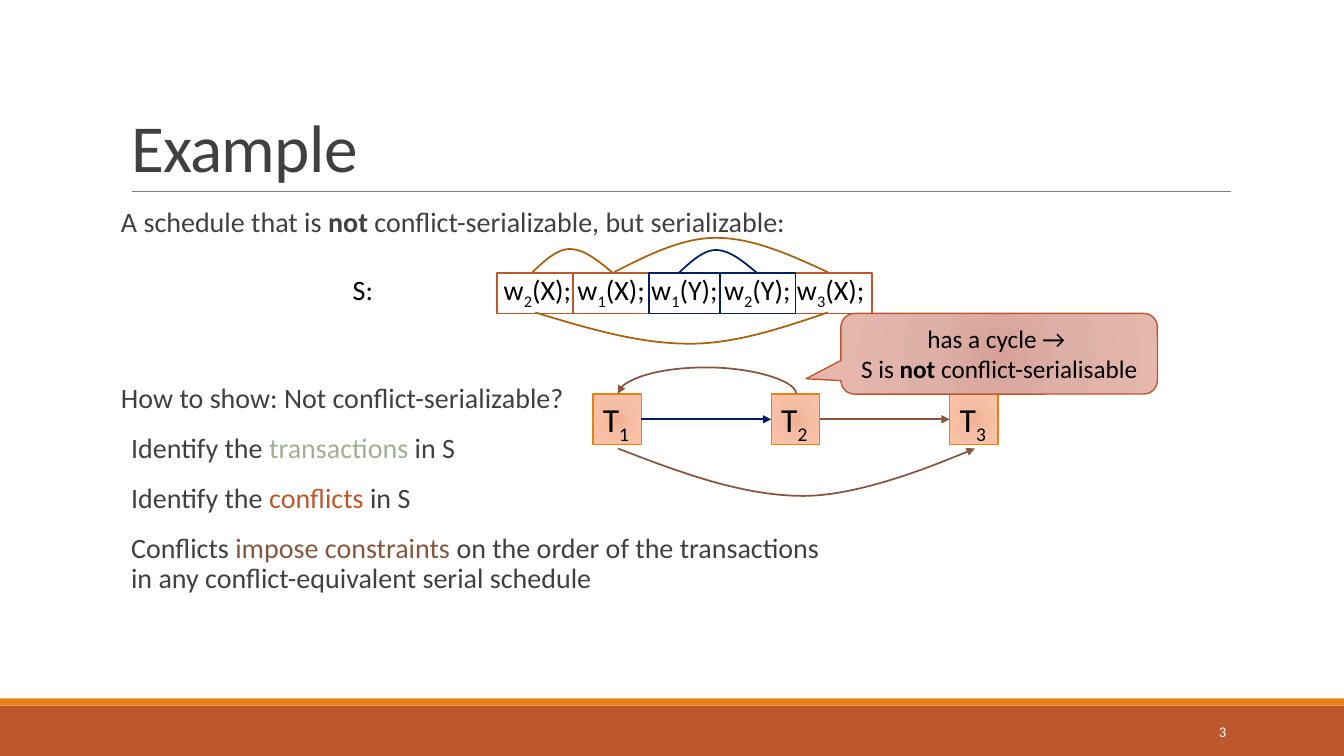
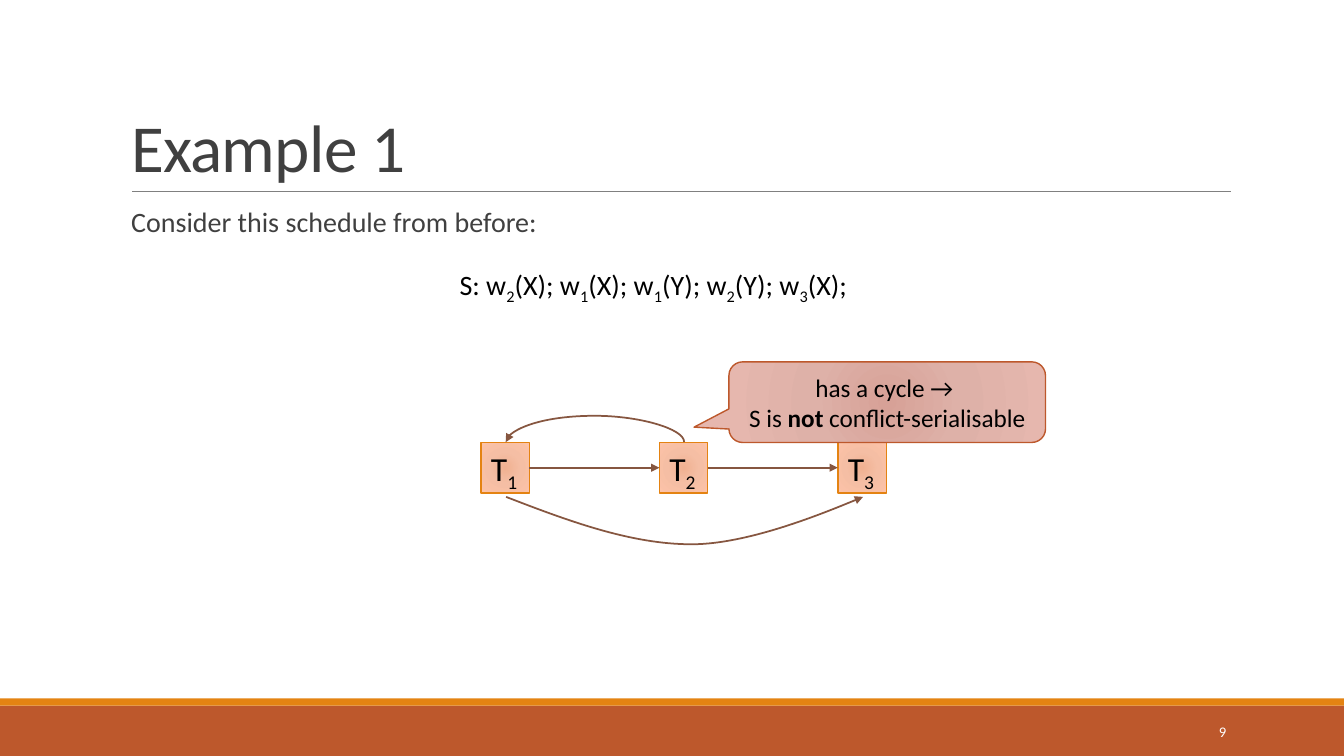
import itertools

import pptx
import pptx.dml.color
import pptx.enum.shapes
import pptx.enum.text
import pptx.oxml
import pptx.oxml.ns
import pptx.util

Inches = pptx.util.Inches
Pt = pptx.util.Pt
RGBColor = pptx.dml.color.RGBColor
SHAPE = pptx.enum.shapes.MSO_SHAPE
CONNECTOR = pptx.enum.shapes.MSO_CONNECTOR
ANCHOR = pptx.enum.text.MSO_ANCHOR
ALIGN = pptx.enum.text.PP_ALIGN

FONT = "Calibri"
BLACK = RGBColor(0x00, 0x00, 0x00)
WHITE = RGBColor(0xFF, 0xFF, 0xFF)
GRAY = RGBColor(0x80, 0x80, 0x80)
DARK_GRAY = RGBColor(0x40, 0x40, 0x40)
RUST = RGBColor(0xBD, 0x58, 0x2C)
ORANGE = RGBColor(0xE4, 0x83, 0x12)
BROWN = RGBColor(0x86, 0x56, 0x40)
OCHRE = RGBColor(0xA9, 0x61, 0x0D)
SAGE = RGBColor(0xA2, 0xAF, 0x92)
NAVY = RGBColor(0x00, 0x20, 0x60)
PEACH_STOPS = [(0, "F0B191"), (45, "F5BEA4"), (100, "FDC3A8")]
ROSE_STOPS = [(0, "D7A197"), (45, "DEB1A8"), (100, "E6B7AE")]
BOLD = "bold"
NAMESPACE = pptx.oxml.ns.nsdecls("a")

SCHEDULE = "w2(X); w1(X); w1(Y); w2(Y); w3(X);"


def add_runs(paragraph, pieces, size, colour):
    """Add (text, style) pieces, style being BOLD, a colour or None; digits become subscripts."""
    for text, style in pieces:
        if text == "\n":
            paragraph.add_line_break()
            continue
        for is_digit, characters in itertools.groupby(text, str.isdigit):
            run = paragraph.add_run()
            run.text = "".join(characters)
            run.font.name = FONT
            run.font.size = Pt(size)
            run.font.color.rgb = style if isinstance(style, RGBColor) else colour
            if style == BOLD:
                run.font.bold = True
            if is_digit:
                run.font._element.set("baseline", "-25000")


def add_curve(slide, points, colour):
    """Draw an open chain of cubic Bézier curves; each takes three points after the first."""
    start, *others = [(Inches(x), Inches(y)) for x, y in points]
    builder = slide.shapes.build_freeform(*start)
    builder.add_line_segments(others, close=False)
    curve = builder.convert_to_shape()
    lines = list(curve.element.iter(pptx.oxml.ns.qn("a:lnTo")))
    for first in range(0, len(lines), 3):
        bezier = pptx.oxml.parse_xml(f"<a:cubicBezTo {NAMESPACE}/>")
        lines[first].addprevious(bezier)
        for line in lines[first:first + 3]:
            bezier.append(line[0])
            line.getparent().remove(line)
    curve.shadow.inherit = False
    curve.fill.background()
    curve.line.color.rgb = colour
    curve.line.width = Pt(1.25)
    return curve


presentation = pptx.Presentation()
presentation.slide_width = Inches(13.33)
presentation.slide_height = Inches(7.5)

# Title and body style, inherited by every slide
layout = presentation.slide_layouts[1]
placeholder_styles = [
    (0, 0.31, 1.59, ANCHOR.BOTTOM, 'marL="0"', (85, 0, 0), 'sz="4800" spc="-50"'),
    (1, 2.02, 4.4, ANCHOR.TOP, f'marL="{Inches(0.1)}"', (90, 12, 2), 'sz="2000"'),
]
for index, top, height, anchor, margin, (line, before, after), font in placeholder_styles:
    placeholder = layout.placeholders[index]
    placeholder.left, placeholder.top = Inches(1.2), Inches(top)
    placeholder.width, placeholder.height = Inches(11), Inches(height)
    frame = placeholder.text_frame
    frame.vertical_anchor = anchor
    frame.auto_size = pptx.enum.text.MSO_AUTO_SIZE.NONE
    if index == 1:
        frame.margin_left = frame.margin_right = 0
    list_style = placeholder.element.txBody.find(pptx.oxml.ns.qn("a:lstStyle"))
    for level in list(list_style):
        list_style.remove(level)
    list_style.append(pptx.oxml.parse_xml(
        f'<a:lvl1pPr {NAMESPACE} {margin} indent="0" algn="l">'
        f'<a:lnSpc><a:spcPct val="{line * 1000}"/></a:lnSpc>'
        f'<a:spcBef><a:spcPts val="{before * 100}"/></a:spcBef>'
        f'<a:spcAft><a:spcPts val="{after * 100}"/></a:spcAft><a:buNone/>'
        f'<a:defRPr {font} b="0"><a:solidFill><a:srgbClr val="{DARK_GRAY}"/></a:solidFill>'
        f'<a:latin typeface="{FONT}"/></a:defRPr></a:lvl1pPr>'))

# Body paragraphs: flush left or indented, space before, pieces
example_body = [
    (True, 0, [("A schedule that is ", None), ("not ", BOLD),
               ("conflict-serializable, but serializable:", None)]),
    (True, 102, [("How to show: Not conflict-serializable?", None)]),
    (False, 12, [("Identify the ", None), ("transactions ", SAGE), ("in S", None)]),
    (False, 12, [("Identify the ", None), ("conflicts", RUST), (" in S", None)]),
    (False, 12, [("Conflicts ", None), ("impose constraints ", BROWN),
                 ("on the order of the transactions ", None), ("\n", None),
                 ("in any conflict-equivalent serial schedule", None)]),
]
example_1_body = [(False, 0, [("Consider this schedule from before:", None)])]

# Text boxes: left, top, width, height, alignment, text
example_boxes = [
    (4.85, 2.65, 3.87, 0.44, ALIGN.CENTER, SCHEDULE),
    (3.4, 2.65, 0.41, 0.44, ALIGN.LEFT, "S:"),
]
example_1_boxes = [(4.46, 2.6, 4.14, 0.77, ALIGN.LEFT, "S: " + SCHEDULE)]

# Title, page number, body, text boxes, graph position, colour of the first arrow
slide_contents = [
    ("Example", "3", example_body, example_boxes, 5.88, 3.91, NAVY),
    ("Example 1", "9", example_1_body, example_1_boxes, 4.77, 4.39, BROWN),
]
for title, number, body, text_boxes, graph_left, graph_top, first_colour in slide_contents:
    slide = presentation.slides.add_slide(layout)
    shapes = slide.shapes

    # Footer bands, title rule and page number
    for top, height, colour in [(7, 0.5, RUST), (6.93, 0.07, ORANGE)]:
        band = shapes.add_shape(SHAPE.RECTANGLE, 0, Inches(top), presentation.slide_width, Inches(height))
        band.shadow.inherit = False
        band.fill.solid()
        band.fill.fore_color.rgb = colour
        band.line.fill.background()
    rule = shapes.add_connector(CONNECTOR.STRAIGHT, Inches(1.31), Inches(1.9), Inches(12.21), Inches(1.9))
    rule.line.color.rgb = GRAY
    rule.line.width = Pt(0.5)
    rule.element.spPr.append(pptx.oxml.parse_xml(f"<a:effectLst {NAMESPACE}/>"))
    page_number = shapes.add_textbox(Inches(10.83), Inches(7.06), Inches(1.43), Inches(0.4))
    page_number.text_frame.text = number
    page_number.text_frame.word_wrap = True
    page_number.text_frame.vertical_anchor = ANCHOR.MIDDLE
    paragraph = page_number.text_frame.paragraphs[0]
    paragraph.alignment = ALIGN.RIGHT
    paragraph.runs[0].font.name = FONT
    paragraph.runs[0].font.size = Pt(10.5)
    paragraph.runs[0].font.color.rgb = WHITE

    # Title, body and schedule text
    shapes.title.text_frame.text = title
    body_frame = slide.placeholders[1].text_frame
    for position, (flush, before, pieces) in enumerate(body):
        paragraph = body_frame.add_paragraph() if position else body_frame.paragraphs[0]
        if flush:
            paragraph._p.get_or_add_pPr().set("marL", "0")
        paragraph.space_before = Pt(before)
        add_runs(paragraph, pieces, 20, DARK_GRAY)
    for left, top, width, height, alignment, text in text_boxes:
        box = shapes.add_textbox(Inches(left), Inches(top), Inches(width), Inches(height))
        box.text_frame.word_wrap = False
        paragraph = box.text_frame.paragraphs[0]
        paragraph.alignment = alignment
        add_runs(paragraph, [(text, None)], 20, BLACK)

    # Precedence graph: transactions
    transactions = []
    for position in range(3):
        transaction = shapes.add_shape(
            SHAPE.RECTANGLE, Inches(graph_left + 1.77 * position), Inches(graph_top), Inches(0.48), Inches(0.5))
        transaction.text_frame.word_wrap = False
        transaction.text_frame.vertical_anchor = ANCHOR.TOP
        paragraph = transaction.text_frame.paragraphs[0]
        paragraph.alignment = ALIGN.LEFT
        add_runs(paragraph, [(f"T{position + 1}", None)], 24, BLACK)
        transactions.append(transaction)

    # Precedence graph: arrows, each with source, target and their connection sites
    arrows = []
    for kind, source, source_site, target, target_site, colour in [
            (CONNECTOR.STRAIGHT, 0, 3, 1, 1, first_colour),
            (CONNECTOR.STRAIGHT, 1, 3, 2, 1, BROWN),
            (CONNECTOR.CURVE, 1, 0, 0, 0, BROWN)]:
        arrow = shapes.add_connector(kind, 0, 0, 0, 0)
        arrow.begin_connect(transactions[source], source_site)
        arrow.end_connect(transactions[target], target_site)
        arrow.line.color.rgb = colour
        arrow.line.width = Pt(1.25)
        arrow.element.spPr.append(pptx.oxml.parse_xml(f"<a:effectLst {NAMESPACE}/>"))
        arrows.append(arrow)

    # The curved arrow is a thin box on its side that bulges a quarter inch above the transactions
    back_arrow = arrows[-1]
    thickness = 2430
    back_arrow.left, back_arrow.top = Inches(graph_left + 1.13), Inches(graph_top - 0.89)
    back_arrow.width, back_arrow.height = thickness, Inches(1.77)
    transform = back_arrow.element.spPr.find(pptx.oxml.ns.qn("a:xfrm"))
    for name, value in [("rot", "16200000"), ("flipH", "1"), ("flipV", "1")]:
        transform.set(name, value)
    geometry = back_arrow.element.spPr.find(pptx.oxml.ns.qn("a:prstGeom"))
    for adjustments in list(geometry):
        geometry.remove(adjustments)
    bulge = round(-Inches(0.25) / thickness * 100000)
    geometry.append(pptx.oxml.parse_xml(
        f'<a:avLst {NAMESPACE}><a:gd name="adj1" fmla="val {bulge}"/></a:avLst>'))

    first_to_third = [(0.25, 0.54), (0.87, 0.78), (1.49, 1.01), (2.09, 1.01),
                      (2.68, 1.01), (3.79, 0.54), (3.79, 0.54)]
    arrows.append(add_curve(slide, [(graph_left + x, graph_top + y) for x, y in first_to_third], BROWN))
    for arrow in arrows:
        arrow.line._get_or_add_ln().append(pptx.oxml.parse_xml(f'<a:tailEnd {NAMESPACE} type="triangle"/>'))

    # Callout
    callout = shapes.add_shape(
        SHAPE.ROUNDED_RECTANGULAR_CALLOUT,
        Inches(graph_left + 2.46), Inches(graph_top - 0.8), Inches(3.14), Inches(0.8))
    callout.adjustments[0] = -0.61
    callout.adjustments[1] = 0.31
    callout.adjustments[2] = 0.17
    callout.text_frame.word_wrap = True
    callout.text_frame.vertical_anchor = ANCHOR.MIDDLE
    paragraph = callout.text_frame.paragraphs[0]
    paragraph.alignment = ALIGN.CENTER
    add_runs(paragraph, [("has a cycle → ", None), ("\n", None), ("S is ", None), ("not", BOLD),
                         (" conflict-serialisable", None)], 18, BLACK)

    # Gradient fills
    gradient_boxes = [(transaction, PEACH_STOPS, ORANGE) for transaction in transactions]
    for shape, stops, line_colour in gradient_boxes + [(callout, ROSE_STOPS, RUST)]:
        shape.shadow.inherit = False
        shape.line.color.rgb = line_colour
        shape.line.width = Pt(1)
        shape.fill.background()
        properties = shape.element.spPr
        stop_list = "".join(
            f'<a:gs pos="{percent * 1000}"><a:srgbClr val="{colour}"/></a:gs>' for percent, colour in stops)
        properties.replace(properties.find(pptx.oxml.ns.qn("a:noFill")), pptx.oxml.parse_xml(
            f'<a:gradFill {NAMESPACE}><a:gsLst>{stop_list}</a:gsLst><a:path path="circle">'
            '<a:fillToRect l="100000" t="100000" r="100000" b="100000"/></a:path></a:gradFill>'))

# Operation frames and conflict arcs over the first schedule
example = presentation.slides[0]
operation_frames = [(4.93, 0.76, RUST), (7.89, 0.76, RUST), (5.68, 0.76, RUST),
                    (6.44, 0.7, NAVY), (7.14, 0.75, NAVY)]
for left, width, colour in operation_frames:
    frame = example.shapes.add_shape(SHAPE.RECTANGLE, Inches(left), Inches(2.71), Inches(width), Inches(0.4))
    frame.shadow.inherit = False
    frame.fill.background()
    frame.line.color.rgb = colour
    frame.line.width = Pt(1.25)

conflict_arcs = [
    (5.28, 5.65, 6.07, 2.7, 2.47, OCHRE),
    (6.73, 7.1, 7.51, 2.71, 2.48, NAVY),
    (6.09, 7.1, 8.21, 2.7, 2.36, OCHRE),
    (5.31, 6.84, 8.21, 3.1, 3.41, OCHRE),
]
for start, middle, end, base, peak, colour in conflict_arcs:
    halfway = (base + peak) / 2
    rise, fall = (middle - start) / 3, (end - middle) / 3
    add_curve(example, [
        (start, base), (start + rise, halfway), (middle - rise, peak), (middle, peak),
        (middle + fall, peak), (end - fall, halfway), (end, base)], colour)

presentation.save("out.pptx")
